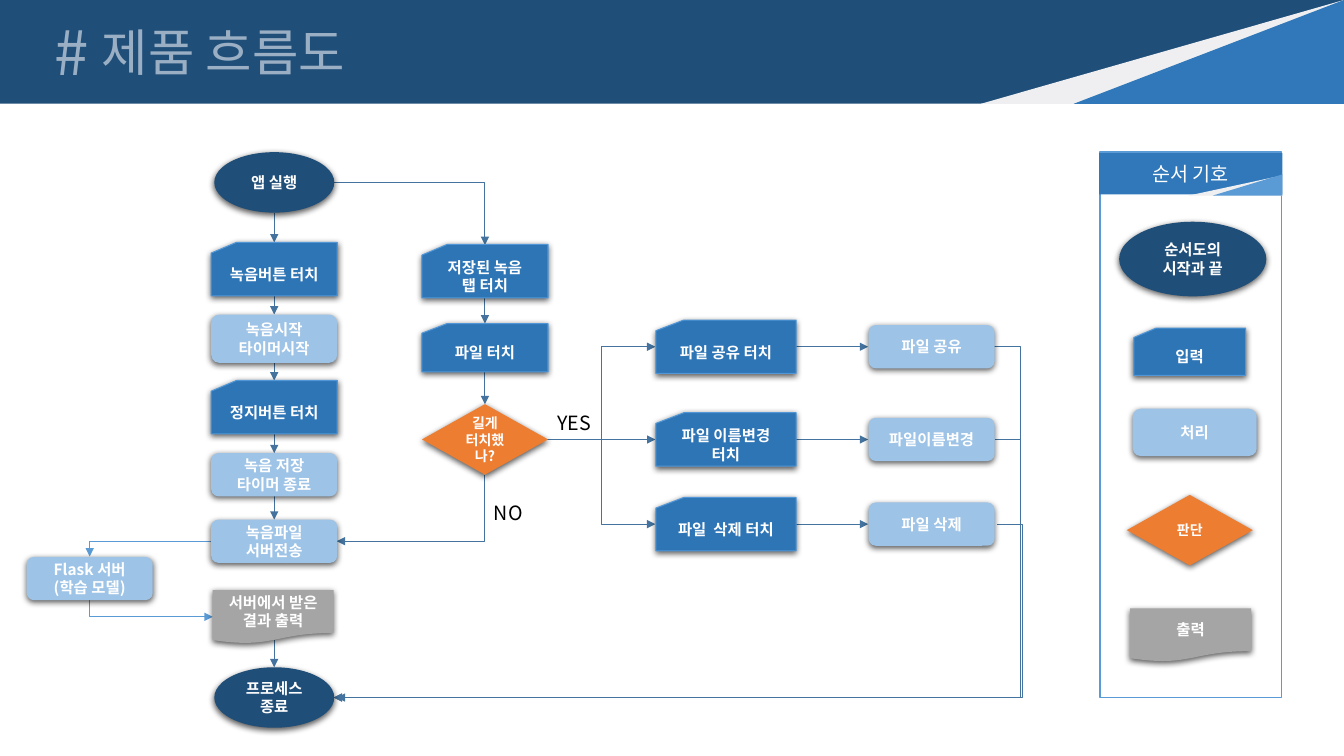
from dataclasses import dataclass
from enum import Enum
from itertools import pairwise
from typing import NamedTuple, Optional

from lxml.etree import SubElement
from pptx import Presentation
from pptx.dml.color import RGBColor
from pptx.enum.shapes import MSO_CONNECTOR as Connector, MSO_SHAPE as Shape
from pptx.enum.text import MSO_ANCHOR as Anchor, MSO_AUTO_SIZE as AutoSize, PP_ALIGN as Align
from pptx.oxml.ns import qn
from pptx.util import Inches, Pt


@dataclass(frozen=True)
class Theme:
    font: str = "Noto Sans CJK KR"
    navy: str = "1F4E79"
    blue: str = "3078BA"
    input_blue: str = "2E75B6"
    input_edge: str = "5197D7"
    light_blue: str = "9DC3E6"
    accent: str = "5B9BD5"
    arrow: str = "43739E"
    orange: str = "ED7D31"
    gray: str = "A5A5A5"
    pale: str = "EFEFF1"
    title: str = "9AAFC3"
    white: str = "FFFFFF"
    black: str = "000000"
    mark_size: int = 44
    title_size: int = 36
    caption_size: int = 14
    node_size: int = 11
    decision_size: int = 10


THEME = Theme()


class Style(NamedTuple):
    outline: Shape
    fill: str
    width: float
    height: float
    size: int = THEME.node_size
    edge: Optional[str] = None


class Kind(Enum):
    TERMINAL = Style(Shape.OVAL, THEME.navy, 1.19, 0.6)
    INPUT = Style(Shape.FLOWCHART_CARD, THEME.input_blue, 1.25, 0.53, edge=THEME.input_edge)
    PROCESS = Style(Shape.ROUNDED_RECTANGLE, THEME.light_blue, 1.25, 0.43)
    DECISION = Style(Shape.FLOWCHART_DECISION, THEME.orange, 1.25, 0.7, THEME.decision_size)
    OUTPUT = Style(Shape.FLOWCHART_DOCUMENT, THEME.gray, 1.2, 0.53)


@dataclass(frozen=True)
class Node:
    kind: Kind
    label: str
    x: float  # centre
    y: float  # centre
    width: Optional[float] = None
    height: Optional[float] = None

    @property
    def box(self) -> tuple[float, float, float, float]:
        width = self.width or self.kind.value.width
        height = self.height or self.kind.value.height
        return self.x - width / 2, self.y - height / 2, width, height


@dataclass(frozen=True)
class Link:
    start: tuple[float, float]
    end: tuple[float, float]
    corner: bool = False  # one bend: across first, then up or down
    via_x: Optional[float] = None  # two bends, with the upright part here
    arrow_at: str = "tailEnd"
    color: str = THEME.arrow
    weight: float = 0.75


RECORD_X, FILE_X, TOUCH_X, ACTION_X = 2.72, 4.81, 7.2, 9.24
DECISION_RIGHT, BRANCH_X = 5.43, 5.97

record_steps = [
    Node(Kind.TERMINAL, "앱 실행", RECORD_X, 1.81),
    Node(Kind.INPUT, "녹음버튼 터치", RECORD_X, 2.67),
    Node(Kind.PROCESS, "녹음시작\v타이머시작", RECORD_X, 3.36, height=0.48),
    Node(Kind.INPUT, "정지버튼 터치", RECORD_X, 4.04),
    Node(Kind.PROCESS, "녹음 저장\v타이머 종료", RECORD_X, 4.71),
    Node(Kind.PROCESS, "녹음파일\n서버전송", RECORD_X, 5.37),
]
file_steps = [
    Node(Kind.INPUT, "저장된 녹음\n탭 터치", FILE_X, 2.69),
    Node(Kind.INPUT, "파일 터치", FILE_X, 3.45, height=0.48),
    Node(Kind.DECISION, "길게 터치했나?", FILE_X, 4.36),
]
result_steps = [
    Node(Kind.PROCESS, "Flask 서버\n(학습 모델)", 0.89, 5.74),
    Node(Kind.OUTPUT, "서버에서 받은 결과 출력", RECORD_X - 0.01, 6.12),
    Node(Kind.TERMINAL, "프로세스 종료", RECORD_X, 6.92),
]
branches = [
    (3.44, "파일 공유 터치", "파일 공유"),
    (4.36, "파일 이름변경 터치", "파일이름변경"),
    (5.2, "파일  삭제 터치", "파일 삭제"),
]
legend_symbols = [
    Node(Kind.TERMINAL, "순서도의\n시작과 끝", 11.83, 2.57, 1.46, 0.74),
    Node(Kind.INPUT, "입력", 11.8, 3.49, 1.11, 0.47),
    Node(Kind.PROCESS, "처리", 11.85, 4.29, 1.23, 0.47),
    Node(Kind.DECISION, "판단", 11.8, 5.26),
    Node(Kind.OUTPUT, "출력", 11.81, 6.3),
]
links = [
    Link((3.31, 1.81), (FILE_X, 2.43), corner=True),
    Link((3.34, 5.37), (FILE_X, 4.71), corner=True, arrow_at="headEnd"),
    Link((2.09, 5.37), (0.89, 5.52), corner=True, color=THEME.accent, weight=0.5),
    Link((2.11, 6.12), (0.89, 5.95), corner=True, arrow_at="headEnd", color=THEME.accent, weight=0.5),
    Link((RECORD_X, 6.35), (RECORD_X, 6.62)),
    Link((9.86, 3.44), (3.31, 6.92), via_x=10.12),
    Link((9.87, 4.36), (3.31, 6.92), via_x=10.12),
    Link((9.89, 5.2), (3.34, 6.92), via_x=10.14),
]


def set_text(holder, text: str, size: int, color: str, bold: bool = False,
             align: Align = Align.CENTER, anchor: Anchor = Anchor.MIDDLE, wrap: bool = True) -> None:
    frame = holder.text_frame
    frame.text = text
    frame.word_wrap, frame.auto_size, frame.vertical_anchor = wrap, AutoSize.NONE, anchor
    for paragraph in frame.paragraphs:
        paragraph.alignment = align
        font = paragraph.font
        font.size, font.bold, font.name = Pt(size), bold, THEME.font
        font.color.rgb = RGBColor.from_string(color)
        SubElement(paragraph._p.pPr.find(qn("a:defRPr")), qn("a:ea"), typeface=THEME.font)


def add_figure(slide, outline: Shape, box: tuple[float, float, float, float],
               fill: Optional[str], edge: Optional[str] = None, weight: float = 0.75):
    figure = slide.shapes.add_shape(outline, *map(Inches, box))
    figure.shadow.inherit = False
    if fill:
        figure.fill.solid()
        figure.fill.fore_color.rgb = RGBColor.from_string(fill)
    else:
        figure.fill.background()
    if edge:
        figure.line.color.rgb = RGBColor.from_string(edge)
        figure.line.width = Pt(weight)
    else:
        figure.line.fill.background()
    if outline == Shape.RIGHT_TRIANGLE:
        figure._element.spPr.find(qn("a:xfrm")).set("flipH", "1")
    return figure


def add_node(slide, node: Node) -> None:
    style = node.kind.value
    figure = add_figure(slide, style.outline, node.box, style.fill, style.edge)
    effects = figure._element.spPr.find(qn("a:effectLst"))
    shadow = SubElement(effects, qn("a:outerShdw"), blurRad=str(Pt(4.5)), dist=str(Pt(1.5)),
                        dir="5400000", algn="ctr", rotWithShape="0")
    SubElement(SubElement(shadow, qn("a:srgbClr"), val=THEME.black), qn("a:alpha"), val="63000")
    set_text(figure, node.label, style.size, THEME.white, bold=True)


def add_link(slide, link: Link) -> None:
    bent = link.corner or link.via_x is not None
    arrow = slide.shapes.add_connector(Connector.ELBOW if bent else Connector.STRAIGHT,
                                       *map(Inches, (*link.start, *link.end)))
    arrow.line.color.rgb = RGBColor.from_string(link.color)
    arrow.line.width = Pt(link.weight)
    properties = arrow._element.spPr
    SubElement(arrow.line._get_or_add_ln(), qn(f"a:{link.arrow_at}"), type="triangle")
    SubElement(properties, qn("a:effectLst"))
    geometry = properties.find(qn("a:prstGeom"))
    if link.corner:
        geometry.set("prst", "bentConnector2")
    elif link.via_x is not None:
        share = (link.via_x - link.start[0]) / (link.end[0] - link.start[0])
        SubElement(geometry.find(qn("a:avLst")), qn("a:gd"), name="adj1", fmla=f"val {round(share * 100000)}")


def add_caption(slide, text: str, box: tuple[float, float, float, float], size: int, color: str) -> None:
    caption = slide.shapes.add_textbox(*map(Inches, box))
    set_text(caption, text, size, color, align=Align.LEFT, anchor=Anchor.TOP)


def add_header(slide) -> None:
    add_figure(slide, Shape.RECTANGLE, (0, 0, 13.33, 1.03), THEME.navy)
    add_figure(slide, Shape.RIGHT_TRIANGLE, (9.73, 0, 3.6, 1.03), THEME.pale)
    add_figure(slide, Shape.RIGHT_TRIANGLE, (10.65, 0, 2.68, 1.03), THEME.blue)
    add_caption(slide, "#", (0.44, 0.09, 0.56, 0.84), THEME.mark_size, THEME.title)
    title = slide.shapes.title
    title.left, title.top, title.width, title.height = map(Inches, (0.91, 0.16, 2.69, 0.71))
    set_text(title, "제품 흐름도", THEME.title_size, THEME.title, align=Align.LEFT, anchor=Anchor.TOP, wrap=False)
    slide.shapes._spTree.append(title._element)  # above the header band


def add_legend(slide) -> None:
    add_figure(slide, Shape.RECTANGLE, (10.91, 1.51, 1.8, 5.41), None, THEME.accent, 1)
    heading = add_figure(slide, Shape.RECTANGLE, (10.9, 1.52, 1.82, 0.41), THEME.blue)
    set_text(heading, "순서 기호", THEME.caption_size, THEME.white)
    add_figure(slide, Shape.RIGHT_TRIANGLE, (11.79, 1.74, 0.93, 0.2), THEME.pale)
    add_figure(slide, Shape.RIGHT_TRIANGLE, (12.03, 1.73, 0.69, 0.21), THEME.accent)
    for symbol in legend_symbols:
        add_node(slide, symbol)


def add_flow(slide) -> None:
    nodes = [*record_steps, *file_steps, *result_steps]
    arrows = list(links)
    for upper, lower in [*pairwise(record_steps), *pairwise(file_steps)]:
        _, top, _, height = upper.box
        arrows.append(Link((upper.x, top + height), (lower.x, lower.box[1])))
    for y, touch, action in branches:
        nodes += [Node(Kind.INPUT, touch, TOUCH_X, y, width=1.39), Node(Kind.PROCESS, action, ACTION_X, y)]
        bend = None if y == file_steps[-1].y else BRANCH_X
        arrows += [Link((DECISION_RIGHT, file_steps[-1].y), (6.5, y), via_x=bend), Link((7.89, y), (8.61, y))]
    for arrow in arrows:
        add_link(slide, arrow)
    for node in nodes:
        add_node(slide, node)
    add_caption(slide, "NO", (4.8, 4.92, 0.65, 0.34), THEME.caption_size, THEME.black)
    add_caption(slide, "YES", (5.43, 4.03, 0.65, 0.34), THEME.caption_size, THEME.black)


def main() -> None:
    deck = Presentation()
    deck.slide_width, deck.slide_height = Inches(13.33), Inches(7.5)
    slide = deck.slides.add_slide(deck.slide_layouts[5])
    add_header(slide)
    add_flow(slide)
    add_legend(slide)
    deck.save("out.pptx")


if __name__ == "__main__":
    main()
